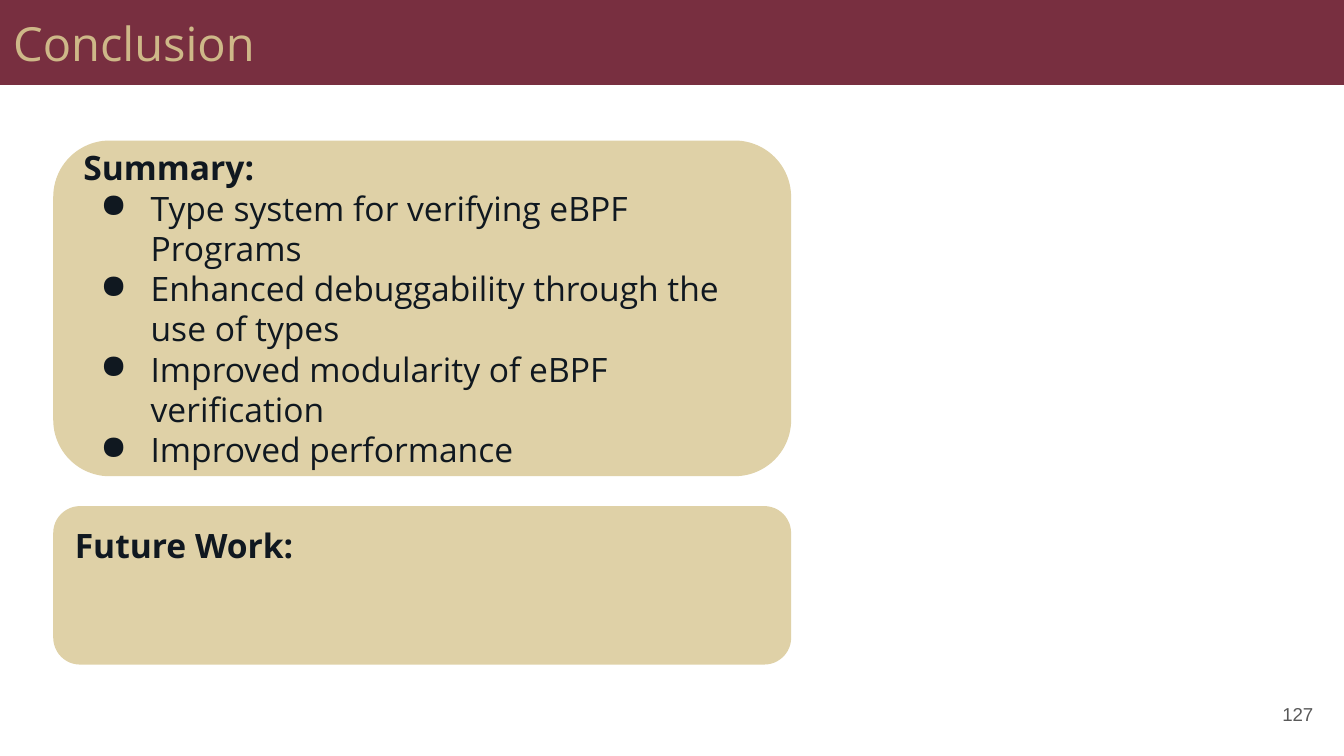
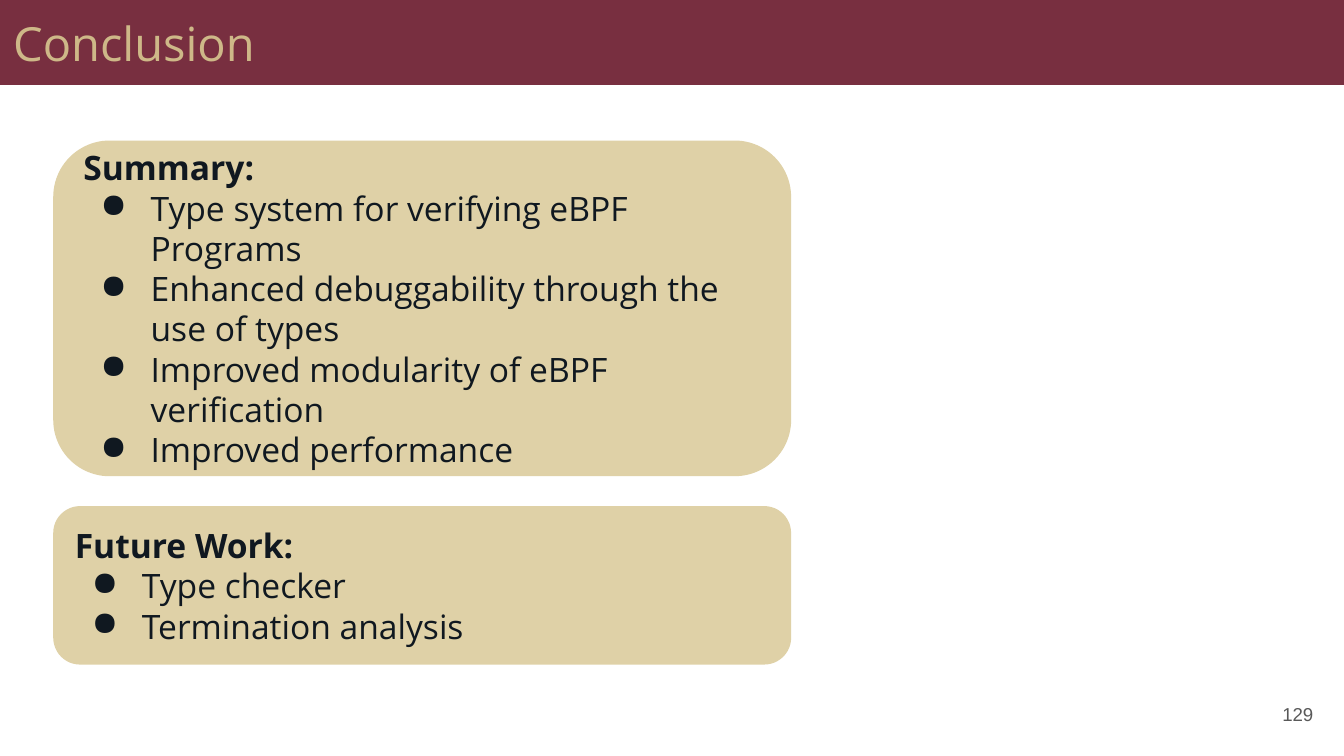
from lxml import etree
from pptx import Presentation
from pptx import util as u
from pptx.dml.color import RGBColor
from pptx.enum import shapes, text
from pptx.oxml import ns

GARNET = RGBColor(0x78, 0x2F, 0x40)
GOLD = RGBColor(0xCE, 0xB8, 0x88)
SAND = RGBColor(0xDF, 0xD1, 0xA7)
INK = RGBColor(0x10, 0x18, 0x20)
GREY = RGBColor(0x59, 0x59, 0x59)
WHITE = RGBColor(0xFF, 0xFF, 0xFF)

WIDTH, HEIGHT = u.Cm(25.4), u.Cm(14.29)
INSET = u.Cm(0.25)
LINE_HEIGHT = u.Cm(0.76)
CARD_LEFT, CARD_WIDTH = u.Cm(1.02), u.Cm(13.92)

SUMMARY = [
    "Type system for verifying eBPF Programs",
    "Enhanced debuggability through the use of types",
    "Improved modularity of eBPF verification",
    "Improved performance",
]
FUTURE_WORK = ["Type checker", "Termination analysis"]
PAGES = [(127, []), (129, FUTURE_WORK)]


def add_bullet(para, color):
    """Give a paragraph a hanging round bullet."""
    props = para._p.get_or_add_pPr()
    props.set("marL", str(u.Cm(1.27)))
    props.set("indent", str(-u.Cm(0.95)))
    bullet_color = etree.SubElement(props, ns.qn("a:buClr"))
    etree.SubElement(bullet_color, ns.qn("a:srgbClr"), val=str(color))
    etree.SubElement(props, ns.qn("a:buChar"), char="●")


def write(box, words, size=18, font="Open Sans", color=INK, bold=False,
          align=text.PP_ALIGN.LEFT, bullet=False):
    """Write one formatted paragraph at the end of a box."""
    frame = box.text_frame
    para = frame.add_paragraph() if frame.text else frame.paragraphs[0]
    para.alignment = align
    if bullet:
        add_bullet(para, color)
    span = para.add_run()
    span.text = words
    span.font.size = u.Pt(size)
    span.font.name = font
    span.font.bold = bold
    span.font.color.rgb = color


def set_frame(box, bottom=INSET):
    """Wrap and centre the text of a box vertically within its insets."""
    frame = box.text_frame
    frame.word_wrap = True
    frame.vertical_anchor = text.MSO_ANCHOR.MIDDLE
    frame.margin_left = frame.margin_right = frame.margin_top = INSET
    frame.margin_bottom = bottom


def add_panel(page, kind, left, top, width, height, color, bottom=INSET):
    """Add a flat filled shape that holds text."""
    panel = page.shapes.add_shape(kind, left, top, width, height)
    panel.shadow.inherit = False
    panel.fill.solid()
    panel.fill.fore_color.rgb = color
    panel.line.color.rgb = color
    panel.line.width = u.Pt(0.75)
    set_frame(panel, bottom)
    return panel


def add_title(page, words):
    """Add the title band across the top of a page."""
    band = add_panel(page, shapes.MSO_SHAPE.RECTANGLE, 0, 0, WIDTH, u.Cm(1.6), GARNET)
    write(band, words, size=25.2, color=GOLD)


def add_card(page, top, height, heading, items, spare_lines=0):
    """Add a rounded card with a heading, bullets and room for spare lines."""
    card = add_panel(page, shapes.MSO_SHAPE.ROUNDED_RECTANGLE, CARD_LEFT, top,
                     CARD_WIDTH, height, SAND, INSET + spare_lines * LINE_HEIGHT)
    write(card, heading, bold=True)
    for item in items:
        write(card, item, bullet=True)


def add_page_number(page, number):
    """Add the page number at the lower right."""
    box = page.shapes.add_textbox(u.Cm(23.55), u.Cm(12.95), u.Cm(1.52), u.Cm(1.09))
    set_frame(box)
    write(box, str(number), size=10, font="Arial", color=GREY,
          align=text.PP_ALIGN.RIGHT)


def add_conclusion(deck, number, future_items):
    """Add a conclusion page showing the given future work."""
    page = deck.slides.add_slide(deck.slide_layouts[6])
    page.background.fill.solid()
    page.background.fill.fore_color.rgb = WHITE
    add_title(page, "Conclusion")
    add_card(page, u.Cm(2.67), u.Cm(6.32), "Summary:", SUMMARY)
    add_card(page, u.Cm(9.58), u.Cm(2.97), "Future Work:", future_items,
             len(FUTURE_WORK) - len(future_items))
    add_page_number(page, number)


def main():
    """Build and save the deck."""
    deck = Presentation()
    deck.slide_width, deck.slide_height = WIDTH, HEIGHT
    for number, future_items in PAGES:
        add_conclusion(deck, number, future_items)
    deck.save("out.pptx")


if __name__ == "__main__":
    main()
